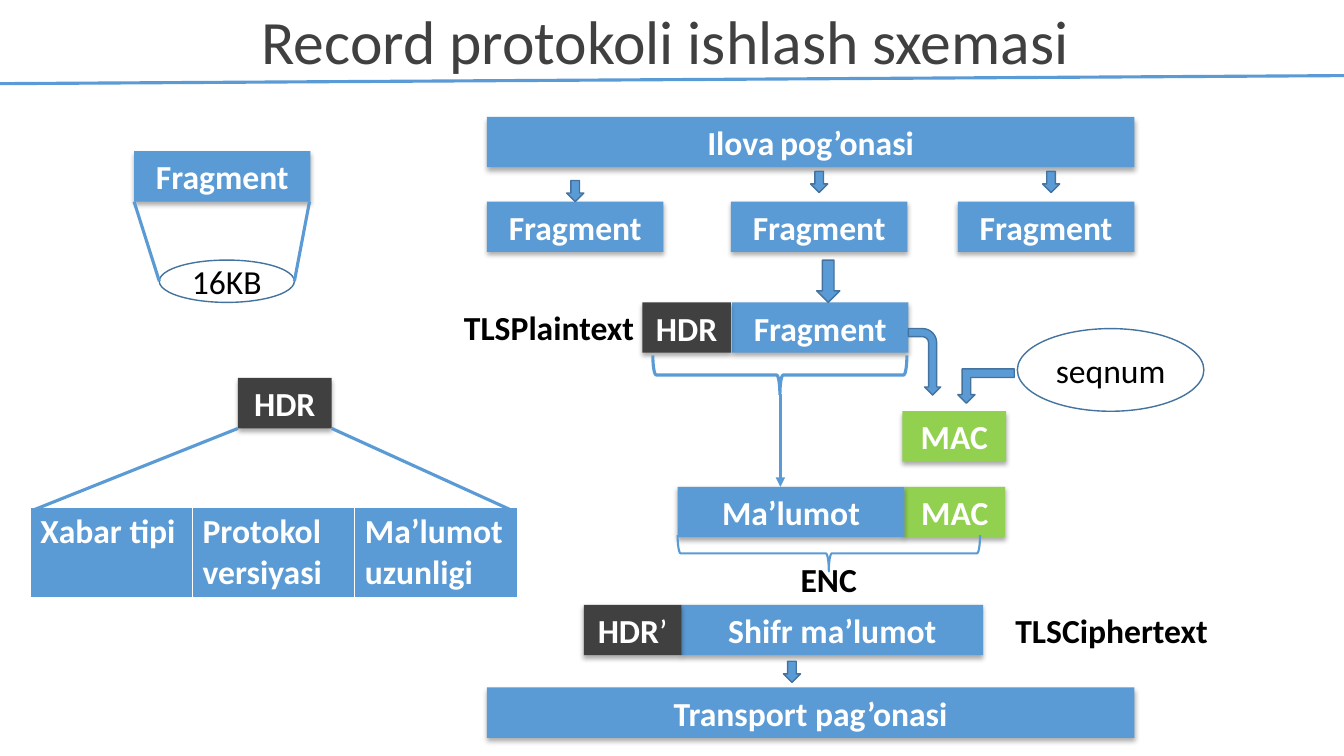
from lxml.etree import SubElement
from pptx import Presentation
from pptx.dml.color import RGBColor
from pptx.enum.shapes import MSO_CONNECTOR, MSO_SHAPE
from pptx.enum.text import MSO_ANCHOR, MSO_AUTO_SIZE, PP_ALIGN
from pptx.oxml.ns import qn
from pptx.util import Emu, Pt

PX = 9144  # 100 px to the inch
FONT = "Calibri"
BLUE, EDGE, DARK, GREEN = "5B9BD5", "43739E", "404040", "92D050"
WHITE, BLACK = "FFFFFF", "000000"
BAR_HEIGHT = 50

# Content: a span is (text, format values that differ)
TITLE = [("Record protokoli ishlash sxemasi ", {})]
FRAGMENT = [("Fragment", {})]
HDR = [("HDR", {})]
MAC = [("MAC", {})]

# Bars: spans, left, top, width, fill
BARS = [
    ([("Ilova", {}), (" ", {"size": Pt(18), "bold": False}), ("pog’onasi", {})],
     483, 116, 642, BLUE),
    *[(FRAGMENT, left, top, 175, BLUE) for left, top in
      [(483, 200), (725, 200), (950, 200), (133, 150), (726, 300)]],
    (HDR, 637, 300, 88, DARK),
    (MAC, 895, 408, 103, GREEN),
    (MAC, 897, 483, 100, GREEN),
    ([("Ma’lumot", {})], 672, 483, 225, BLUE),
    ([("Shifr ma’lumot", {})], 676, 600, 299, BLUE),
    ([("HDR", {}), ("’", {"bold": False})], 579, 600, 97, DARK),
    ([("Transport pag’onasi", {})], 483, 682, 642, BLUE),
    (HDR, 236, 375, 93, DARK),
]
# Ellipses: text, left, top, width, height
ELLIPSES = [("seqnum", 1009, 326, 185, 82), ("16KB", 158, 258, 134, 42)]
# Block arrows: preset, left, top, width, height, rotation
DOWN = MSO_SHAPE.DOWN_ARROW
ARROWS = [
    *[(DOWN, left, top, 17, 21, 0) for left, top in
      [(562, 179), (804, 170), (1034, 170), (777, 656)]],
    (DOWN, 810, 258, 23, 42, 0),
    (MSO_SHAPE.BENT_UP_ARROW, 950, 366, 56, 34, 180),
    (MSO_SHAPE.BENT_ARROW, 884, 343, 66, 32, 90),
]
# Braces before their quarter turn: left, top, width, height, line width
BRACES = [(754, 246, 39, 252, 2.25), (804, 399, 36, 300, 1.5)]
# Lines: from x, y, to x, y, arrowhead
LINES = [
    (774, 391, 774, 483, True),
    (133, 200, 158, 279, False),
    (307, 200, 292, 279, False),
    (236, 425, 33, 506, False),
    (329, 425, 507, 506, False),
    (0, 83, 1333, 75, False),
]
# Labels: text, left, top, width
LABELS = [("ENC", 784, 550, 76), ("TLSPlaintext", 449, 300, 191),
          ("TLSCiphertext", 996, 600, 213)]
HEADER_FIELDS = [
    [("Xabar tipi", {})],
    [("Protokol", {}), (" ", {"size": Pt(16)}), ("versiyasi", {})],
    [("Ma’lumot uzunligi", {})],
]
FIELD_WIDTH = 161


def rgb(value):
    return RGBColor.from_string(value)


def px(*lengths):
    return [Emu(length * PX) for length in lengths]


def write(frame, spans, colour, bold=True, size=24, align=PP_ALIGN.CENTER):
    para = frame.paragraphs[0]
    para.alignment = align
    for text, changes in spans:
        span = para.add_run()
        span.text = text
        values = {"name": FONT, "size": Pt(size), "bold": bold, **changes}
        for key, value in values.items():
            setattr(span.font, key, value)
        span.font.color.rgb = rgb(colour)
    return para


def add_preset(page, preset, place, fill=None, line=None, weight=1):
    shape = page.shapes.add_shape(preset, *px(*place))
    shape.shadow.inherit = False
    if fill:
        shape.fill.solid()
        shape.fill.fore_color.rgb = rgb(fill)
    else:
        shape.fill.background()
    if line:
        shape.line.color.rgb = rgb(line)
        shape.line.width = Pt(weight)
    else:
        shape.line.fill.background()
    return shape


def add_shadow(shape):
    effects = shape._element.spPr.find(qn("a:effectLst"))
    outer = SubElement(effects, qn("a:outerShdw"), blurRad=str(Pt(3.5)),
                       dist=str(Pt(2.2)), dir="5400000", rotWithShape="0")
    colour = SubElement(outer, qn("a:srgbClr"), val=BLACK)
    SubElement(colour, qn("a:alpha"), val="32000")


def add_label(page, spans, place, colour, wrap, **style):
    box = page.shapes.add_textbox(*px(*place))
    box.text_frame.word_wrap = wrap
    return box.text_frame, write(box.text_frame, spans, colour, **style)


def add_line(page, x1, y1, x2, y2, arrowhead):
    line = page.shapes.add_connector(MSO_CONNECTOR.STRAIGHT, *px(x1, y1, x2, y2))
    line.line.color.rgb = rgb(BLUE)
    line.line.width = Pt(2.25)
    if arrowhead:
        SubElement(line.line._get_or_add_ln(), qn("a:tailEnd"), type="triangle")
    SubElement(line._element.spPr, qn("a:effectLst"))


def set_borders(cell):
    properties = cell._tc.get_or_add_tcPr()
    sides = {"a:lnL": 1, "a:lnR": 1, "a:lnT": 1, "a:lnB": 3}
    for index, (tag, weight) in enumerate(sides.items()):
        border = SubElement(properties, qn(tag), w=str(Pt(weight)))
        fill = SubElement(border, qn("a:solidFill"))
        SubElement(fill, qn("a:srgbClr"), val=WHITE)
        properties.insert(index, border)


def add_header_table(page):
    columns = len(HEADER_FIELDS)
    place = px(30, 503, FIELD_WIDTH * columns, 85)
    table = page.shapes.add_table(1, columns, *place).table
    table.first_row = table.horz_banding = False
    for index, spans in enumerate(HEADER_FIELDS):
        table.columns[index].width = Emu(FIELD_WIDTH * PX)
        cell = table.cell(0, index)
        cell.fill.solid()
        cell.fill.fore_color.rgb = rgb(BLUE)
        set_borders(cell)
        write(cell.text_frame, spans, WHITE, align=PP_ALIGN.LEFT)


def main():
    deck = Presentation()
    deck.slide_width, deck.slide_height = px(1333, 750)
    page = deck.slides.add_slide(deck.slide_layouts[6])

    # Protocol layers and record parts
    for spans, left, top, width, fill in BARS:
        bar = add_preset(page, MSO_SHAPE.RECTANGLE,
                         (left, top, width, BAR_HEIGHT), fill)
        add_shadow(bar)
        bar.text_frame.vertical_anchor = MSO_ANCHOR.MIDDLE
        write(bar.text_frame, spans, WHITE)

    # Sizes and counters
    for text, *place in ELLIPSES:
        ellipse = add_preset(page, MSO_SHAPE.OVAL, place, WHITE, EDGE)
        ellipse.text_frame.vertical_anchor = MSO_ANCHOR.MIDDLE
        write(ellipse.text_frame, [(text, {})], BLACK, bold=False)

    # Flow arrows and braces
    for preset, *place, rotation in ARROWS:
        add_preset(page, preset, place, BLUE, EDGE).rotation = rotation
    for *place, weight in BRACES:
        brace = add_preset(page, MSO_SHAPE.RIGHT_BRACE, place, None, BLUE, weight)
        brace.rotation = 90

    # Header fields, then the lines that lead to them
    add_header_table(page)
    for line in LINES:
        add_line(page, *line)

    # Labels and title
    for text, left, top, width in LABELS:
        frame, _ = add_label(page, [(text, {})], (left, top, width, BAR_HEIGHT),
                             BLACK, False)
        frame.auto_size = MSO_AUTO_SIZE.SHAPE_TO_FIT_TEXT
    frame, para = add_label(page, TITLE, (67, 5, 1200, 78), DARK, True,
                            bold=False, size=44)
    frame.vertical_anchor = MSO_ANCHOR.MIDDLE
    para.line_spacing = 0.9

    deck.save("out.pptx")


if __name__ == "__main__":
    main()
